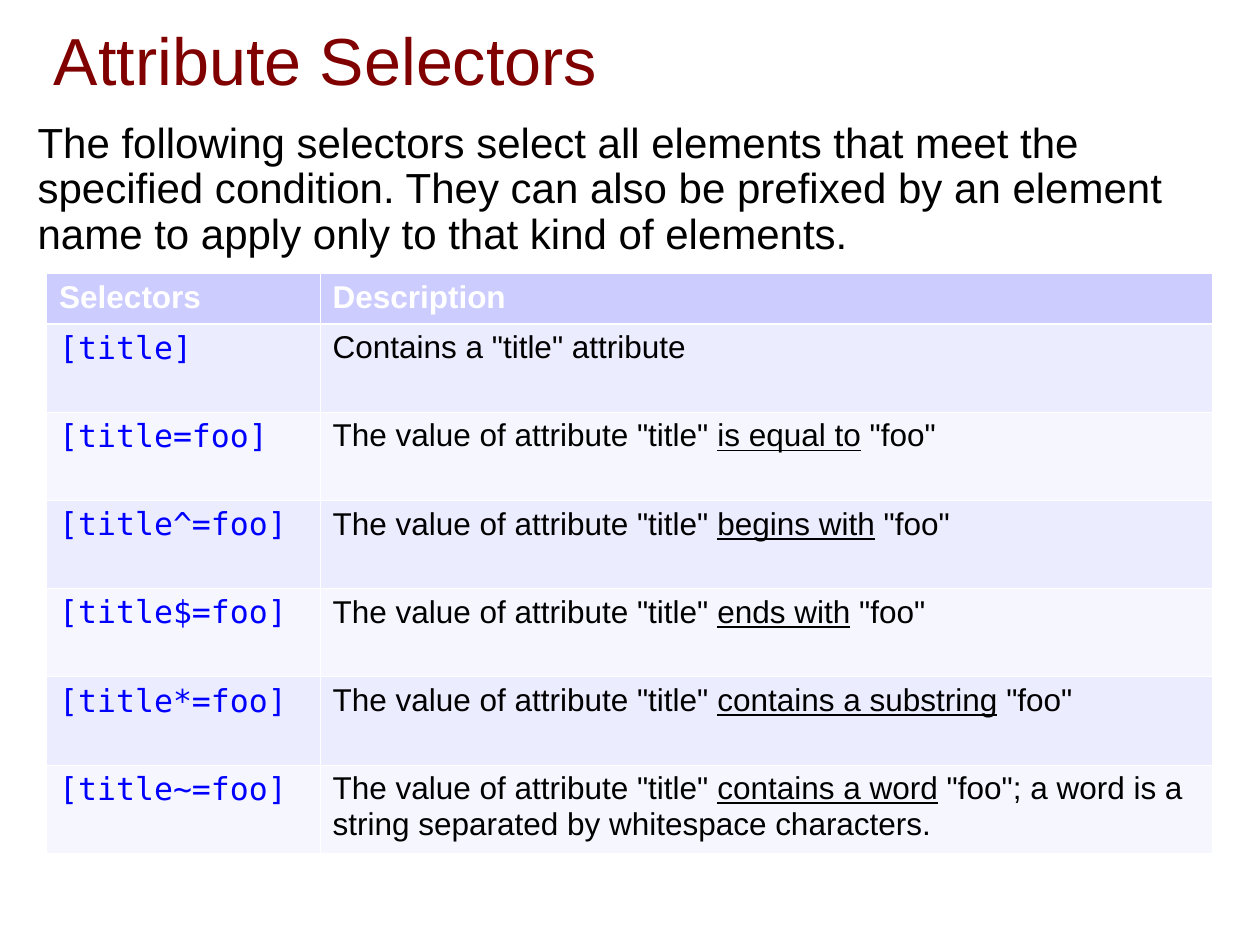
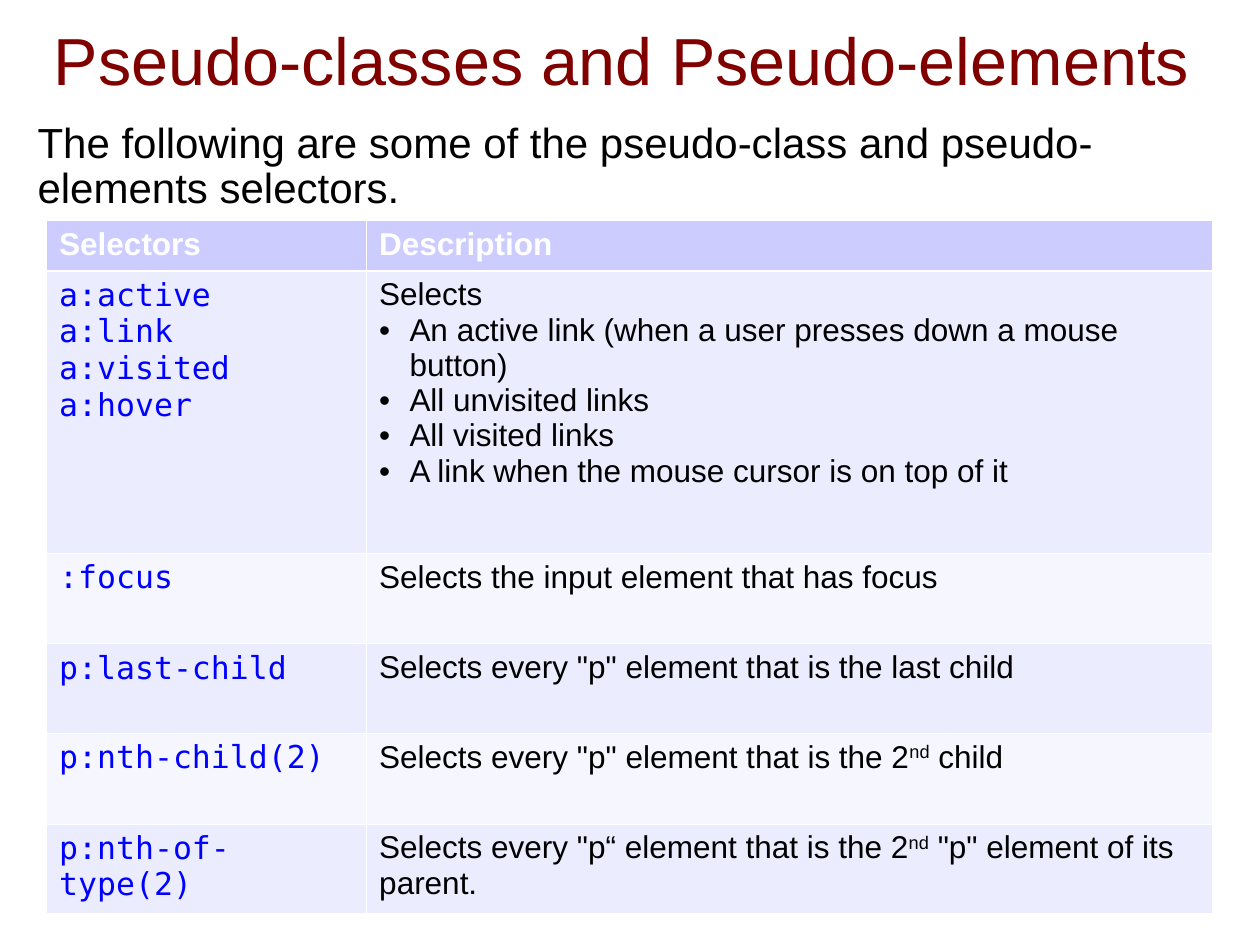
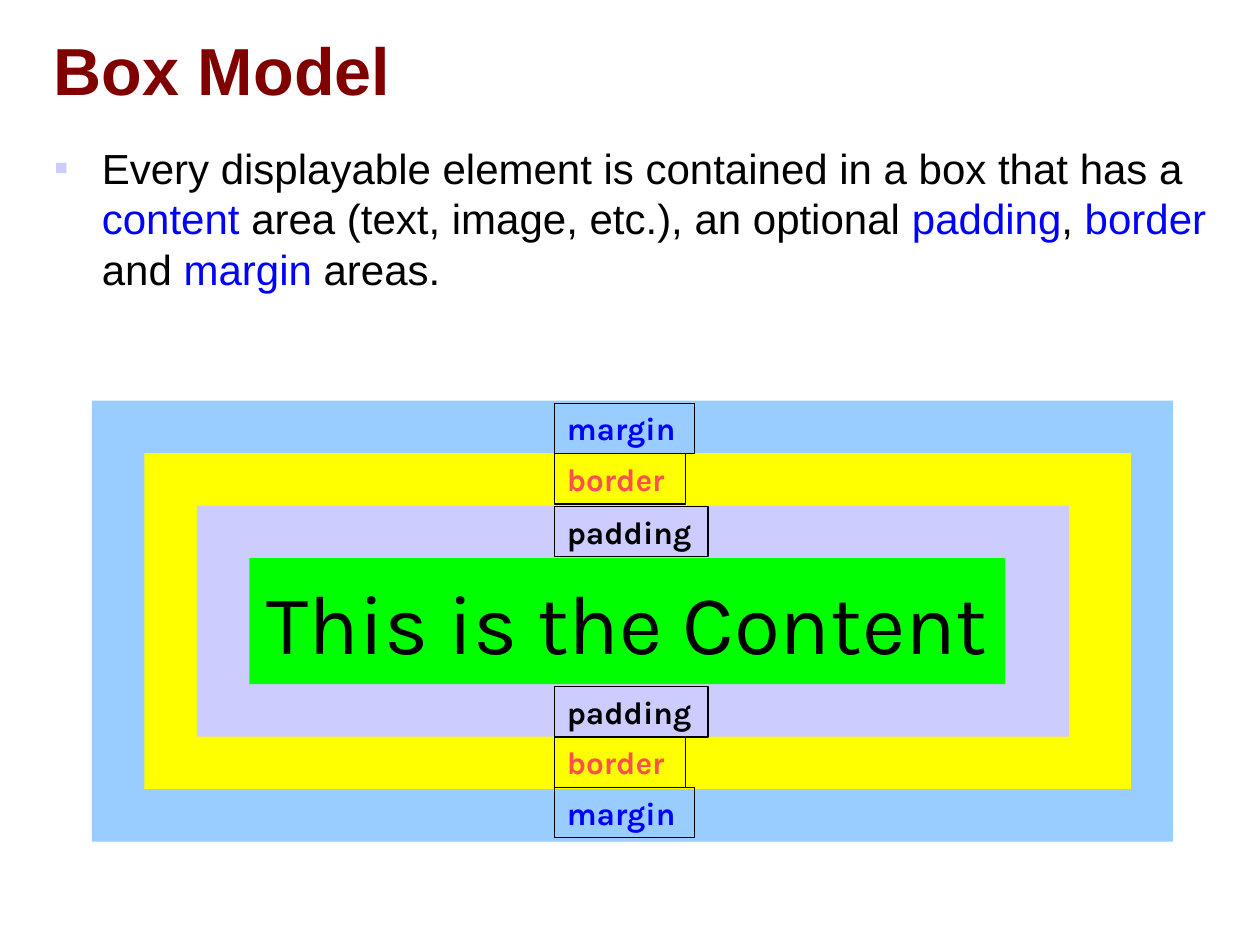
"""Build three slides on CSS selectors and the box model."""
from dataclasses import dataclass
from typing import Any

from lxml import etree
from pptx import Presentation
from pptx import util as u
from pptx.dml.color import RGBColor
from pptx.enum import shapes, text
from pptx.oxml import ns

COLORS = {
    "title": "800000", "body": "000000", "key": "0000FF", "white": "FFFFFF",
    "lavender": "CCCCFF", "odd": "ECECFF", "even": "F6F6FF", "sky": "99CCFF",
    "yellow": "FFFF00", "green": "00FF00", "red": "FF5050",
}
SANS, MONO, KARLA = "Arial", "DejaVu Sans Mono", "Karla"
THIN, THICK = 0.45, 1.47
RING_STEP = 5 / 12


@dataclass(frozen=True)
class Style:
    size: float
    font: str = SANS
    color: str = "body"
    bold: bool = False


@dataclass(frozen=True)
class Run:
    text: str
    color: str | None = None
    underline: bool = False
    superscript: bool = False


@dataclass(frozen=True)
class Para:
    runs: tuple[Run, ...]
    bullet: str = ""
    bullet_color: str = "body"
    indent: float = 0
    spacing: float | None = None
    align: Any = None


@dataclass(frozen=True)
class Box:
    left: float
    top: float
    width: float
    height: float

    def emu(self) -> tuple[u.Length, ...]:
        return tuple(map(u.Inches, (self.left, self.top, self.width, self.height)))


@dataclass(frozen=True)
class Row:
    selectors: tuple[str, ...]
    description: tuple[Para, ...]
    height: float


@dataclass(frozen=True)
class Ring:
    name: str
    fill: str
    width: float
    label_color: str = "body"
    label_width: float = 0
    label_tops: tuple[float, ...] = ()


TITLE = Style(38, color="title")
BODY = Style(24)
HEAD = Style(18, color="white", bold=True)
CODE = Style(18, MONO, "key")
CELL = Style(18)


def rgb(name: str) -> RGBColor:
    return RGBColor.from_string(COLORS[name])


def para(*parts: str | Run, **options: Any) -> Para:
    return Para(tuple(Run(x) if isinstance(x, str) else x for x in parts), **options)


def add_bullet(p: Any, item: Para) -> None:
    pPr = p._p.get_or_add_pPr()
    pPr.set("marL", str(u.Inches(item.indent)))
    pPr.set("indent", str(-u.Inches(item.indent)))
    clr = etree.SubElement(pPr, ns.qn("a:buClr"))
    etree.SubElement(clr, ns.qn("a:srgbClr"), val=COLORS[item.bullet_color])
    etree.SubElement(pPr, ns.qn("a:buFont"), typeface=SANS)
    etree.SubElement(pPr, ns.qn("a:buChar"), char=item.bullet)


def write(tf: Any, paras: tuple[Para, ...], style: Style) -> None:
    for i, item in enumerate(paras):
        p = tf.add_paragraph() if i else tf.paragraphs[0]
        if item.bullet:
            add_bullet(p, item)
        if item.spacing:
            p.line_spacing = item.spacing
        p.alignment = item.align or text.PP_ALIGN.LEFT
        for part in item.runs:
            r = p.add_run()
            r.text = part.text
            r.font.size = u.Pt(style.size)
            r.font.name = style.font
            r.font.bold = style.bold
            r.font.color.rgb = rgb(part.color or style.color)
            if part.underline:
                r.font.underline = True
            if part.superscript:
                r._r.get_or_add_rPr().set("baseline", "30000")


def add_text(s: Any, box: Box, item: Para, style: Style,
             anchor: Any = text.MSO_ANCHOR.TOP) -> None:
    tf = s.shapes.add_textbox(*box.emu()).text_frame
    tf.word_wrap = True
    tf.vertical_anchor = anchor
    write(tf, (item,), style)


def add_slide(prs: Any, title: str, height: float = 0.57, bold: bool = False) -> Any:
    s = prs.slides.add_slide(prs.slide_layouts[6])
    style = Style(TITLE.size, color=TITLE.color, bold=bold)
    add_text(s, Box(0.33, 0.18, 9.5, height), para(title), style, text.MSO_ANCHOR.MIDDLE)
    return s


def set_borders(cell: Any, top: float, bottom: float) -> None:
    tcPr = cell._tc.get_or_add_tcPr()
    edges = (("a:lnL", THIN), ("a:lnR", THIN), ("a:lnT", top), ("a:lnB", bottom))
    for i, (tag, width) in enumerate(edges):
        ln = etree.Element(ns.qn(tag), w=str(u.Pt(width)))
        fill = etree.SubElement(ln, ns.qn("a:solidFill"))
        etree.SubElement(fill, ns.qn("a:srgbClr"), val=COLORS["white"])
        tcPr.insert(i, ln)


def add_selector_table(s: Any, top: float, code_width: float, head_height: float,
                       rows: tuple[Row, ...]) -> None:
    heights = (head_height, *(row.height for row in rows))
    box = Box(0.37, top, 9.25, sum(heights))
    table = s.shapes.add_table(len(heights), 2, *box.emu()).table
    for column, width in zip(table.columns, (code_width, box.width - code_width)):
        column.width = u.Inches(width)
    contents = [((para("Selectors"),), (para("Description"),))]
    contents += [(tuple(map(para, row.selectors)), row.description) for row in rows]
    for i, (height, content) in enumerate(zip(heights, contents)):
        table.rows[i].height = u.Inches(height)
        fill = ("odd" if i % 2 else "even") if i else "lavender"
        for j, paras in enumerate(content):
            cell = table.cell(i, j)
            cell.fill.solid()
            cell.fill.fore_color.rgb = rgb(fill)
            set_borders(cell, THICK if i == 1 else THIN, THIN if i else THICK)
            write(cell.text_frame, paras, (CODE, CELL)[j] if i else HEAD)


def add_rect(group: Any, box: Box, fill: str | None = None) -> Any:
    sp = group.shapes.add_shape(shapes.MSO_SHAPE.RECTANGLE, *box.emu())
    sp.shadow.inherit = False
    if fill:
        sp.fill.solid()
        sp.fill.fore_color.rgb = rgb(fill)
        sp.line.fill.background()
    else:
        sp.fill.background()
        sp.line.color.rgb = rgb("body")
        sp.line.width = u.Pt(0.75)
    sp.text_frame.word_wrap = False
    return sp


def value_row(operator: str, relation: str, ending: str = "") -> Row:
    description = para('The value of attribute "title" ', Run(relation, underline=True),
                       f' "foo"{ending}')
    return Row((f"[title{operator}foo]",), (description,), 0.7)


def attribute_slide(prs: Any) -> None:
    s = add_slide(prs, "Attribute Selectors")
    add_selector_table(s, 2.17, 2.17, 0.4, (
        Row(("[title]",), (para('Contains a "title" attribute'),), 0.7),
        value_row("=", "is equal to"),
        value_row("^=", "begins with"),
        value_row("$=", "ends with"),
        value_row("*=", "contains a substring"),
        value_row("~=", "contains a word",
                  "; a word is a string separated by whitespace characters."),
    ))
    add_text(s, Box(0.2, 0.92, 9.61, 1.18), para(
        "The following selectors select all elements that meet the specified condition. "
        "They can also be prefixed by an element name to apply only to that kind of "
        "elements.", spacing=0.9), BODY)


def pseudo_slide(prs: Any) -> None:
    s = add_slide(prs, "Pseudo-classes and Pseudo-elements")
    links = ("An active link (when a user presses down a mouse button)",
             "All unvisited links", "All visited links",
             "A link when the mouse cursor is on top of it")
    bullets = tuple(para(link, bullet="•", indent=0.24) for link in links)
    nd = Run("nd", superscript=True)
    add_selector_table(s, 1.75, 2.54, 0.4, (
        Row(("a:active", "a:link", "a:visited", "a:hover"),
            (para("Selects"), *bullets), 2.24),
        Row((":focus",), (para("Selects the input element that has focus"),), 0.72),
        Row(("p:last-child",),
            (para('Selects every "p" element that is the last child'),), 0.71),
        Row(("p:nth-child(2)",),
            (para('Selects every "p" element that is the 2', nd, " child"),), 0.72),
        Row(("p:nth-of-type(2)",),
            (para('Selects every "p“ element that is the 2', nd,
                  ' "p" element of its parent.'),), 0.71),
    ))
    add_text(s, Box(0.2, 0.92, 9.61, 0.82), para(
        "The following are some of the pseudo-class and pseudo-elements selectors.",
        spacing=0.9), BODY)


def box_model_slide(prs: Any) -> None:
    s = add_slide(prs, "Box Model", height=0.74, bold=True)
    add_text(s, Box(0.33, 1.08, 9.42, 1.43), para(
        "Every displayable element is contained in a box that has a ",
        Run("content ", "key"), "area (text, image, etc.), an optional ",
        Run("padding", "key"), ", ", Run("border", "key"), " and ",
        Run("margin", "key"), " areas.",
        bullet="▪", bullet_color="lavender", indent=0.38), BODY)
    rings = (
        Ring("margin", "sky", 8.58, "key", 1.11, (3.2, 6.25)),
        Ring("border", "yellow", 7.83, "red", 1.04, (3.6, 5.85)),
        Ring("padding", "lavender", 6.92, "body", 1.22, (4.02, 5.45)),
        Ring("This is the Content", "green", 6),
    )
    group = s.shapes.add_group_shape()
    for i, ring in enumerate(rings):
        inset = i * RING_STEP
        box = Box(0.73 + inset, 3.18 + inset, ring.width, 3.5 - 2 * inset)
        sp = add_rect(group, box, ring.fill)
    sp.text_frame.vertical_anchor = text.MSO_ANCHOR.MIDDLE
    write(sp.text_frame, (para(ring.name, align=text.PP_ALIGN.CENTER),), Style(48, KARLA))
    for ring in rings:
        for top in ring.label_tops:
            tf = add_rect(group, Box(4.4, top, ring.label_width, 0.4)).text_frame
            tf.auto_size = text.MSO_AUTO_SIZE.SHAPE_TO_FIT_TEXT
            tf.vertical_anchor = text.MSO_ANCHOR.TOP
            write(tf, (para(ring.name),), Style(18, KARLA, ring.label_color, True))


def main() -> None:
    prs = Presentation()
    prs.slide_width, prs.slide_height = u.Inches(10), u.Inches(7.5)
    attribute_slide(prs)
    pseudo_slide(prs)
    box_model_slide(prs)
    prs.save("out.pptx")


if __name__ == "__main__":
    main()
